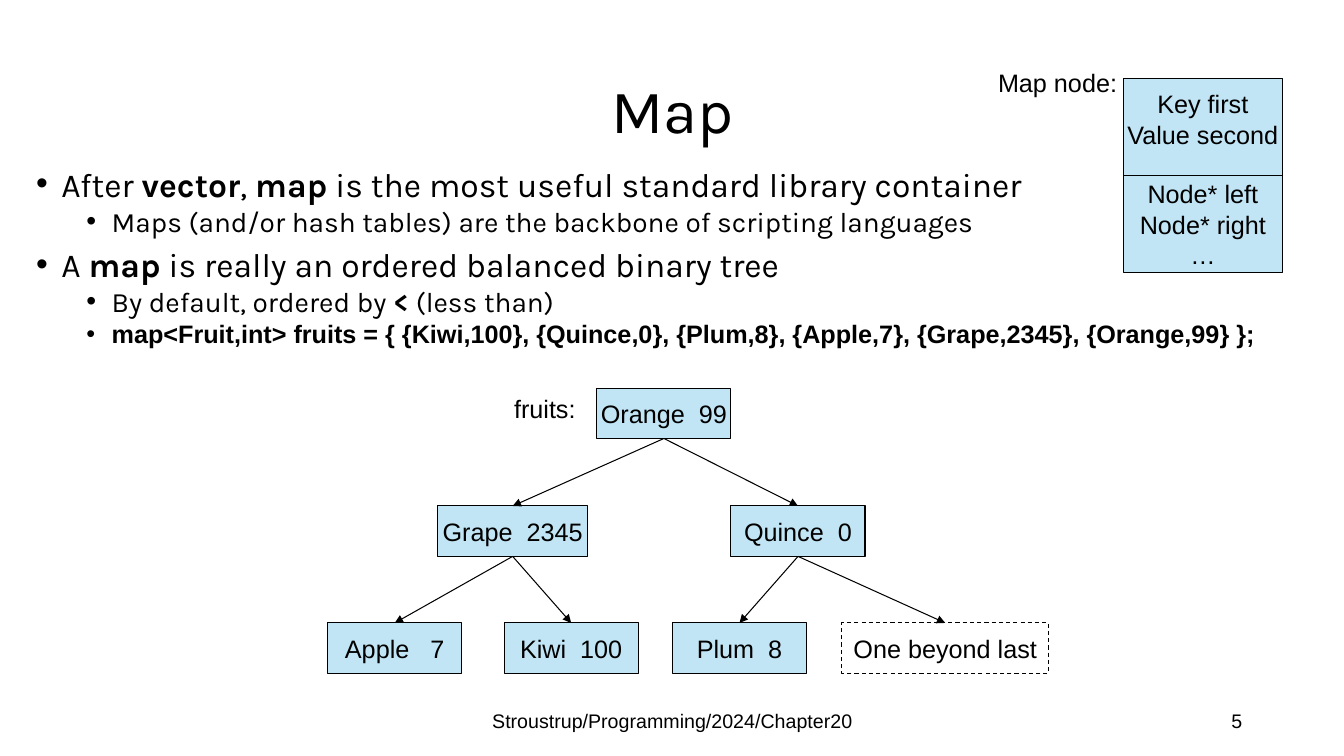
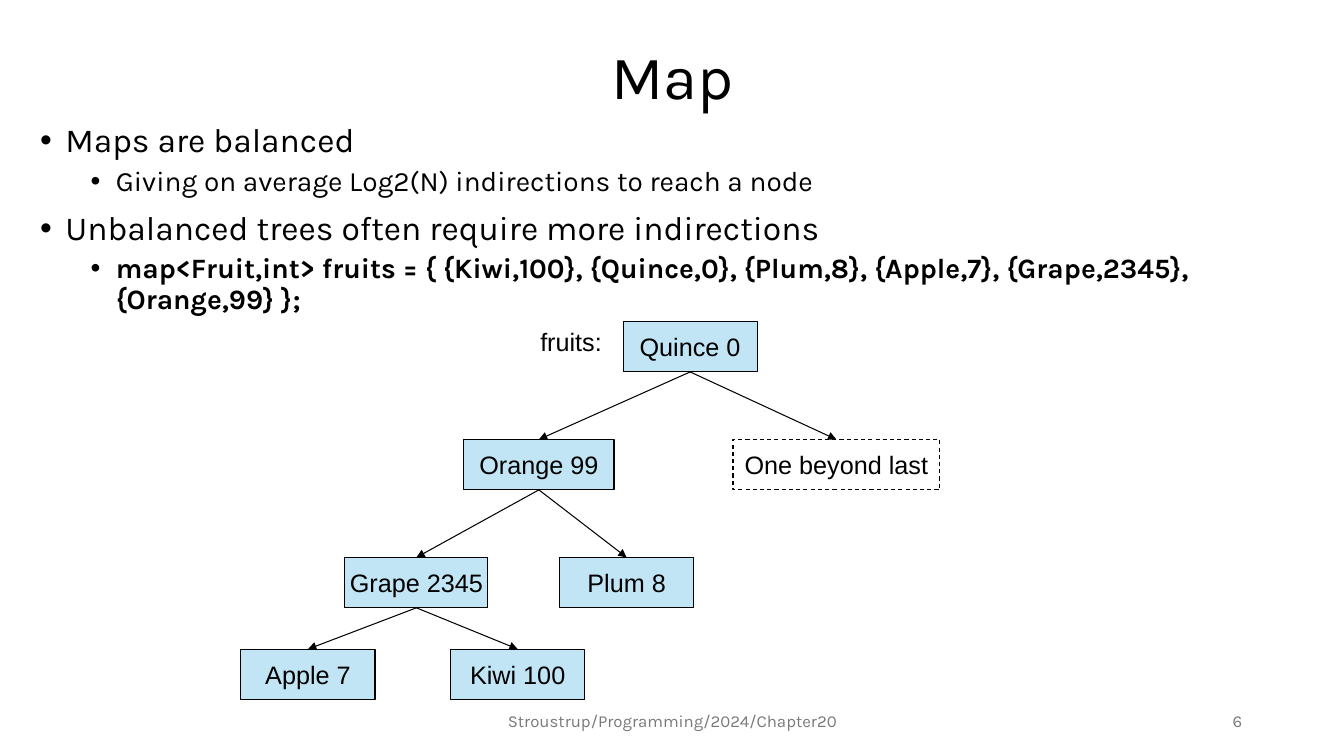
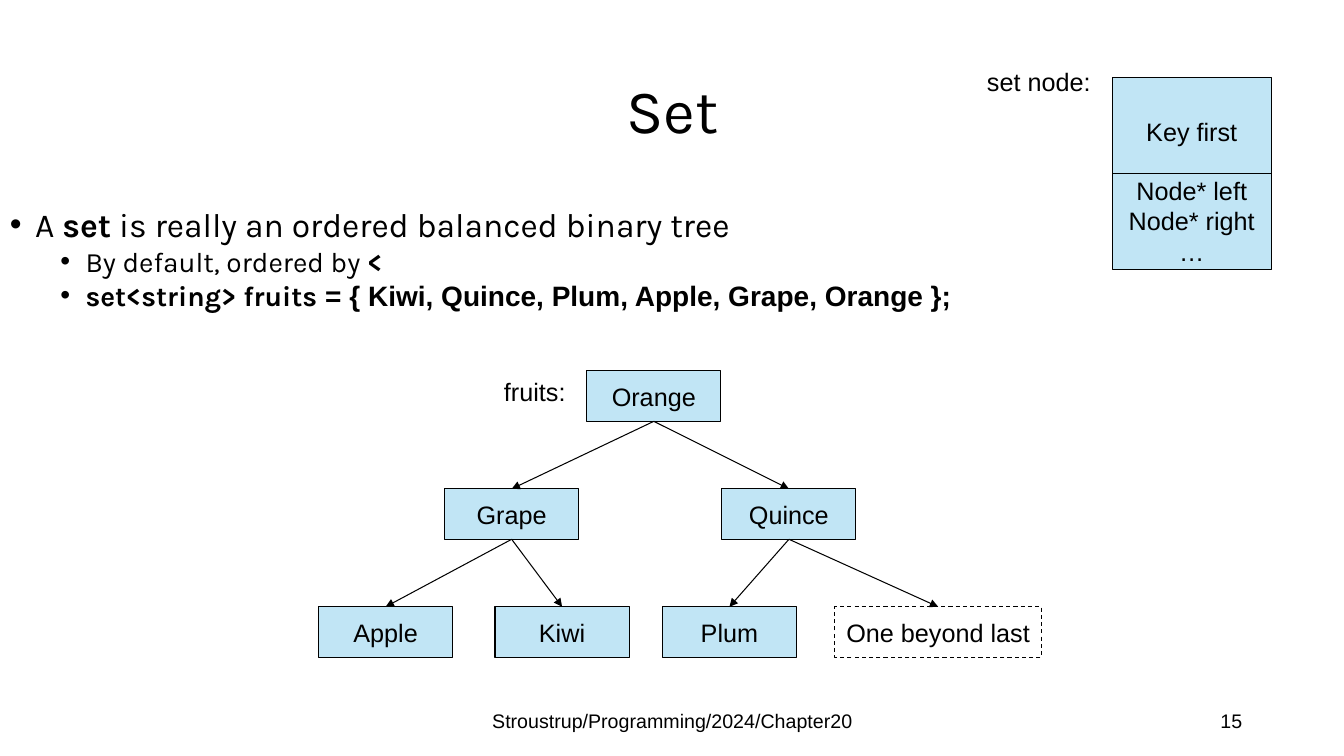
import dataclasses

import lxml.etree
import pptx
import pptx.dml.color
import pptx.enum.dml
import pptx.enum.shapes
import pptx.enum.text
import pptx.oxml.ns
import pptx.util

PX = 9144
BLACK = "000000"
GREY = "797979"
NODE_BLUE = "C1E5F5"
HEADING_FONT = "Karla"
PLAIN_FONT = "Arial"
FOOTER = "Stroustrup/Programming/2024/Chapter20"
NODE_HEIGHT = 50
RECORD_WIDTH = 158
LEVEL_SIZES = (24, 20)
LEVEL_INDENTS = (25, 75)
LEVEL_SPACING = (10, 5)
ALIGN = pptx.enum.text.PP_ALIGN
ANCHOR = pptx.enum.text.MSO_ANCHOR


@dataclasses.dataclass
class Node:
    label: str
    left: int
    children: tuple = ()
    width: int = 133
    dashed: bool = False


def px(length):
    return pptx.util.Emu(length * PX)


def rgb(value):
    return pptx.dml.color.RGBColor.from_string(value)


def style_run(run, size, font=PLAIN_FONT, color=BLACK, bold=False):
    run.font.size = pptx.util.Pt(size)
    run.font.name = font
    run.font.bold = bold
    run.font.color.rgb = rgb(color)


def style_line(line, dashed=False):
    line.color.rgb = rgb(BLACK)
    line.width = pptx.util.Pt(0.75)
    if dashed:
        line.dash_style = pptx.enum.dml.MSO_LINE.DASH


def add_child(parent, tag, **attributes):
    return lxml.etree.SubElement(parent, pptx.oxml.ns.qn(tag), attributes)


def add_frame(slide, left, top, width, height, anchor=ANCHOR.TOP):
    frame = slide.shapes.add_textbox(px(left), px(top), px(width), px(height)).text_frame
    frame.word_wrap = True
    frame.vertical_anchor = anchor
    return frame


def add_label(slide, text, left, top, width, height=40, size=18, font=PLAIN_FONT,
              color=BLACK, align=ALIGN.LEFT, anchor=ANCHOR.TOP):
    frame = add_frame(slide, left, top, width, height, anchor)
    frame.text = text
    paragraph = frame.paragraphs[0]
    paragraph.alignment = align
    style_run(paragraph.runs[0], size, font, color)
    return paragraph


def add_box(slide, text, left, top, width, height, dashed=False):
    box = slide.shapes.add_shape(pptx.enum.shapes.MSO_SHAPE.RECTANGLE,
                                 px(left), px(top), px(width), px(height))
    box.shadow.inherit = False
    if dashed:
        box.fill.background()
    else:
        box.fill.solid()
        box.fill.fore_color.rgb = rgb(NODE_BLUE)
    style_line(box.line, dashed)
    frame = box.text_frame
    frame.word_wrap = False
    frame.vertical_anchor = ANCHOR.MIDDLE
    frame.text = text
    for paragraph in frame.paragraphs:
        paragraph.alignment = ALIGN.CENTER
        style_run(paragraph.runs[0], 18)
    return box


def add_line(slide, start=(0, 0), end=(0, 0)):
    line = slide.shapes.add_connector(pptx.enum.shapes.MSO_CONNECTOR.STRAIGHT,
                                      *map(px, start + end))
    style_line(line.line)
    add_child(line._element.spPr, "a:effectLst")
    return line


def add_arrow(slide, parent, child):
    arrow = add_line(slide)
    arrow.begin_connect(parent, 2)
    arrow.end_connect(child, 0)
    add_child(arrow.line._get_or_add_ln(), "a:tailEnd", type="triangle")


def add_branch(slide, node, tops):
    box = add_box(slide, node.label, node.left, tops[0], node.width, NODE_HEIGHT, node.dashed)
    for child in node.children:
        add_arrow(slide, box, add_branch(slide, child, tops[1:]))
    return box


def add_tree(slide, root, tops):
    add_branch(slide, root, tops)
    add_label(slide, "fruits:", root.left - 92, tops[0], 108)


def add_record(slide, caption, fields, left, top, height, padding):
    links = ["Node* left", "Node* right", "…"]
    record = add_box(slide, "\n".join(fields + links), left, top, RECORD_WIDTH, height)
    frame = record.text_frame
    frame.vertical_anchor = ANCHOR.TOP
    frame.margin_top = px(padding)
    frame.paragraphs[len(fields)].space_before = pptx.util.Pt(21)
    add_label(slide, caption, left - 134, top - 16, 142)
    middle = top + height // 2
    add_line(slide, (left, middle), (left + RECORD_WIDTH, middle))


def add_marked_runs(paragraph, text, size):
    for bold_index, stretch in enumerate(text.split("**")):
        for code_index, piece in enumerate(stretch.split("`")):
            if piece:
                run = paragraph.add_run()
                run.text = piece
                font = PLAIN_FONT if code_index % 2 else HEADING_FONT
                style_run(run, size, font, bold=bool(bold_index % 2))


def add_bullets(slide, area, bullets, line_spacing):
    frame = add_frame(slide, *area)
    for index, (level, text, *size) in enumerate(bullets):
        paragraph = frame.add_paragraph() if index else frame.paragraphs[0]
        paragraph.level = level
        paragraph.line_spacing = line_spacing
        paragraph.space_before = pptx.util.Pt(LEVEL_SPACING[level])
        properties = paragraph._p.get_or_add_pPr()
        properties.set("marL", str(px(LEVEL_INDENTS[level])))
        properties.set("indent", str(px(-25)))
        add_child(properties, "a:buFont", typeface=PLAIN_FONT)
        add_child(properties, "a:buChar", char="•")
        add_marked_runs(paragraph, text, size[0] if size else LEVEL_SIZES[level])


def add_slide(deck, title, number, title_height=145, size=14, font=PLAIN_FONT, color=BLACK):
    slide = deck.slides.add_slide(deck.slide_layouts[6])
    heading = add_label(slide, title, 92, 40, 1150, title_height, 44, HEADING_FONT,
                        align=ALIGN.CENTER, anchor=ANCHOR.MIDDLE)
    heading.line_spacing = 0.9
    for text, left, width, align in ((FOOTER, 442, 450, ALIGN.CENTER),
                                     (number, 942, 300, ALIGN.RIGHT)):
        add_label(slide, text, left, 695, width, 40, size, font, color, align, ANCHOR.MIDDLE)
    return slide


def beyond_last(left):
    return Node("One beyond last", left, width=205, dashed=True)


def build_map(deck):
    slide = add_slide(deck, "Map", "5")
    add_bullets(slide, (26, 165, 1254, 175), [
        (0, "After **vector**, **map** is the most useful standard library container"),
        (1, "Maps (and/or hash tables) are the backbone of scripting languages"),
        (0, "A **map** is really an ordered balanced binary tree"),
        (1, "By default, ordered by **< **(less than)"),
        (1, "**`map<Fruit,int> fruits = { {Kiwi,100}, {Quince,0}, {Plum,8}, "
            "{Apple,7}, {Grape,2345}, {Orange,99} };`**", 18),
    ], 0.8)
    grape = Node("Grape  2345", 434, (Node("Apple   7", 325), Node("Kiwi  100", 500)), 149)
    quince = Node("Quince  0", 725, (Node("Plum  8", 667), beyond_last(835)))
    add_tree(slide, Node("Orange  99", 592, (grape, quince)), (385, 502, 618))
    add_record(slide, "Map node:", ["Key first", "Value second"], 1114, 78, 192, 10)


def build_unbalanced_map(deck):
    slide = add_slide(deck, "Map", "6", 77, 12, HEADING_FONT, GREY)
    add_bullets(slide, (30, 118, 1283, 217), [
        (0, "Maps are balanced"),
        (1, "Giving on average Log2(N) indirections to reach a node"),
        (0, "Unbalanced trees often require more indirections"),
        (1, "**map<Fruit,int> fruits = { {Kiwi,100}, {Quince,0}, {Plum,8}, "
            "{Apple,7}, {Grape,2345}, {Orange,99} };**"),
    ], 0.9)
    grape = Node("Grape 2345", 342, (Node("Apple 7", 239), Node("Kiwi 100", 447)), 142)
    orange = Node("Orange 99", 460, (grape, Node("Plum 8", 555)), 149)
    add_tree(slide, Node("Quince 0", 618, (orange, beyond_last(727))), (319, 436, 553, 644))


def build_set(deck):
    slide = add_slide(deck, "Set", "15")
    add_bullets(slide, (0, 205, 978, 117), [
        (0, "A **set** is really an ordered balanced binary tree"),
        (1, "By default, ordered by **<**"),
        (1, "**set<string> fruits` = { Kiwi, Quince, Plum, Apple, Grape, Orange };`**"),
    ], 0.8)
    grape = Node("Grape", 441, (Node("Apple", 316), Node("Kiwi", 491)))
    quince = Node("Quince", 716, (Node("Plum", 657), beyond_last(828)))
    add_tree(slide, Node("Orange", 582, (grape, quince)), (368, 485, 602))
    add_record(slide, "set node:", ["Key first"], 1103, 77, 190, 38)


def main():
    deck = pptx.Presentation()
    deck.slide_width = px(1333)
    deck.slide_height = px(750)
    build_map(deck)
    build_unbalanced_map(deck)
    build_set(deck)
    deck.save("out.pptx")


if __name__ == "__main__":
    main()
